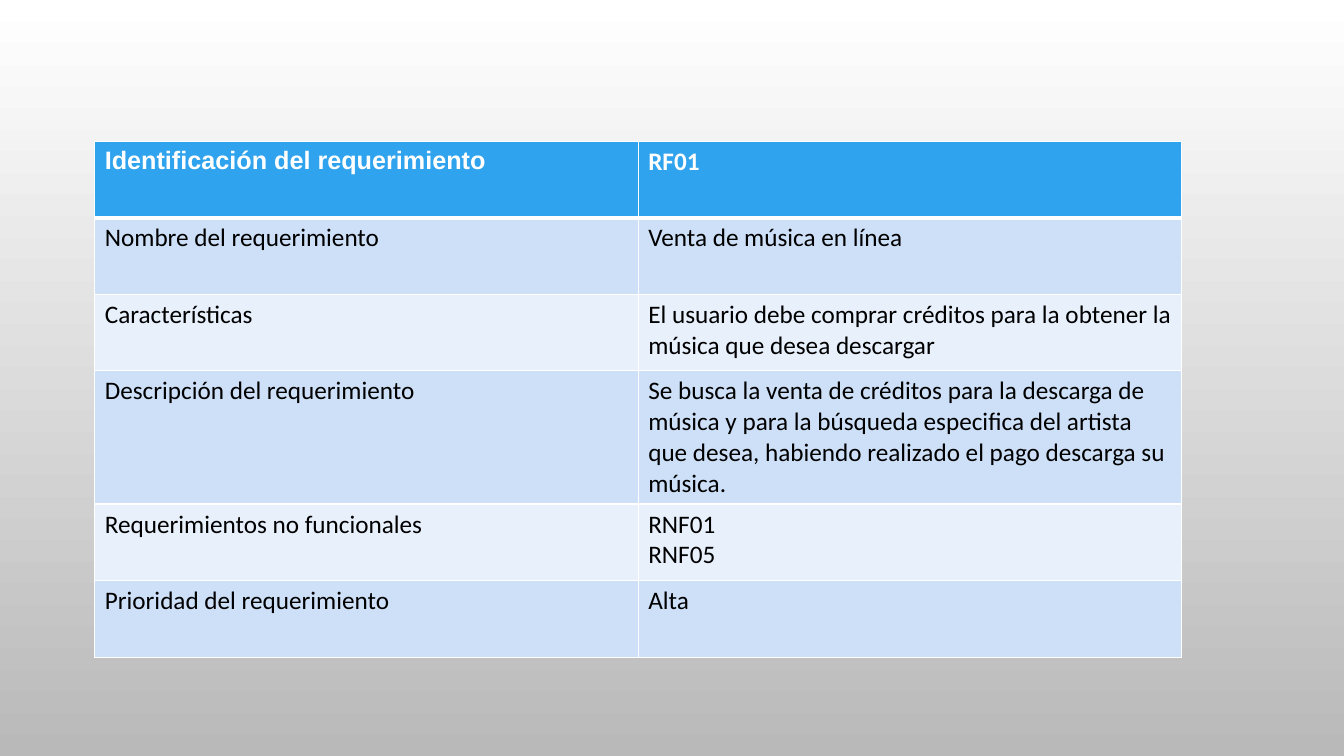
from lxml.etree import SubElement
from pptx import Presentation
from pptx.dml.color import RGBColor
from pptx.oxml.ns import qn
from pptx.util import Inches, Pt

WHITE = RGBColor(0xFF, 0xFF, 0xFF)
BLACK = RGBColor(0x00, 0x00, 0x00)
GRAY = RGBColor(0xB9, 0xB9, 0xB9)
BLUE = RGBColor(0x2F, 0xA3, 0xEE)
BAND_DARK = RGBColor(0xCD, 0xE0, 0xF8)
BAND_LIGHT = RGBColor(0xE8, 0xF0, 0xFC)

REQUIREMENT = [
    ("Identificación del requerimiento", "RF01"),
    ("Nombre del requerimiento", "Venta de música en línea"),
    ("Características",
     "El usuario debe comprar créditos para la obtener la música que desea descargar"),
    ("Descripción del requerimiento",
     "Se busca la venta de créditos para la descarga de música y para la búsqueda "
     "especifica del artista que desea, habiendo realizado el pago descarga su música."),
    ("Requerimientos no funcionales", "RNF01\nRNF05"),
    ("Prioridad del requerimiento", "Alta"),
]


def write(tf, text, font="Calibri", size=18, color=BLACK, bold=False):
    """Fill a text frame, one paragraph per line of text."""
    for i, line in enumerate(text.split("\n")):
        p = tf.add_paragraph() if i else tf.paragraphs[0]
        r = p.add_run()
        r.text = line
        r.font.name, r.font.size, r.font.bold = font, Pt(size), bold
        r.font.color.rgb = color


class SlideBuilder:
    """Holds the table style and the current slide."""

    def __init__(self, slide, border=WHITE):
        self.s = slide
        self.border = border

    def background(self, top, bottom):
        fill = self.s.background.fill
        fill.gradient()
        fill.gradient_angle = 270
        for stop, color in zip(fill.gradient_stops, (top, bottom)):
            stop.color.rgb = color

    def borders(self, cell, **widths):
        """Draw the four cell edges; must run before the cell is filled."""
        tc_pr = cell._tc.get_or_add_tcPr()
        for side in "LRTB":
            width = Pt(widths.get(side, 1))
            ln = SubElement(tc_pr, qn(f"a:ln{side}"), w=str(width))
            solid = SubElement(ln, qn("a:solidFill"))
            SubElement(solid, qn("a:srgbClr"), val=str(self.border))

    def table(self, rows, left, top, col_width, row_height):
        n_cols = len(rows[0])
        frame = self.s.shapes.add_table(
            len(rows), n_cols, Inches(left), Inches(top),
            Inches(col_width * n_cols), Inches(row_height * len(rows)))
        table = frame.table
        for i, row in enumerate(rows):
            for j, text in enumerate(row):
                cell = table.cell(i, j)
                # The header and the row under it share a thick edge
                self.borders(cell, T=3 if i == 1 else 1, B=3 if i == 0 else 1)
                cell.fill.solid()
                if i == 0:
                    cell.fill.fore_color.rgb = BLUE
                    write(cell.text_frame, text, color=WHITE, bold=True,
                          font="Calibri" if j else "Arial")
                else:
                    cell.fill.fore_color.rgb = BAND_DARK if i % 2 else BAND_LIGHT
                    write(cell.text_frame, text)


def main():
    prs = Presentation()
    prs.slide_width, prs.slide_height = Inches(13.33), Inches(7.5)
    builder = SlideBuilder(prs.slides.add_slide(prs.slide_layouts[6]))

    # Background
    builder.background(WHITE, GRAY)

    # Requirement table
    builder.table(REQUIREMENT, left=0.94, top=1.4, col_width=5.39, row_height=0.76)

    prs.save("out.pptx")


if __name__ == "__main__":
    main()
